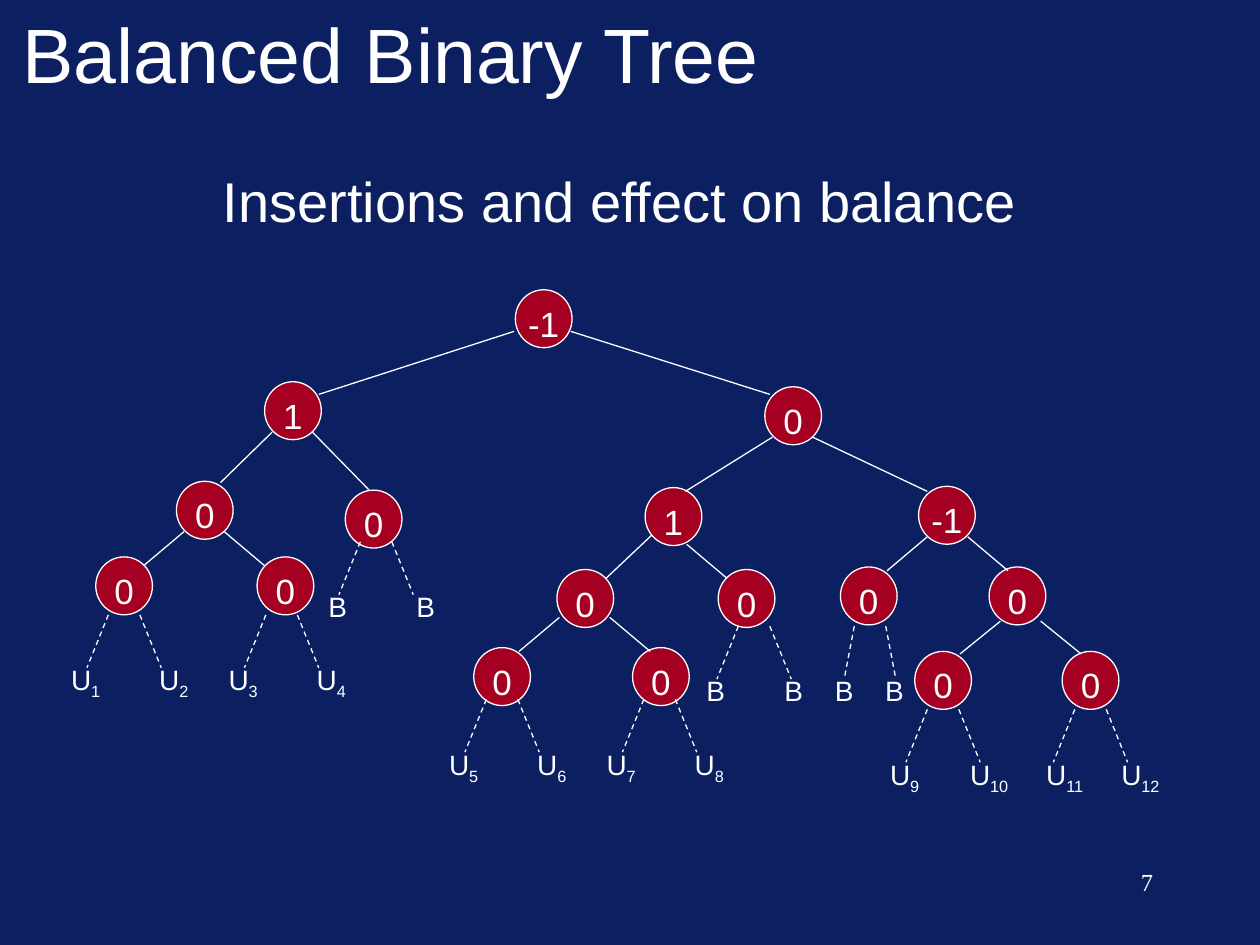
"""Build a slide showing how insertions affect a balanced binary tree."""
import pptx
import pptx.dml.color
import pptx.enum.dml
import pptx.enum.shapes
import pptx.enum.text
import pptx.oxml.ns
import pptx.util
from lxml import etree

Inches = pptx.util.Inches
Pt = pptx.util.Pt
ALIGN = pptx.enum.text.PP_ALIGN
ANCHOR = pptx.enum.text.MSO_ANCHOR
AUTO_SIZE = pptx.enum.text.MSO_AUTO_SIZE

NAVY = pptx.dml.color.RGBColor(0x0B, 0x1F, 0x61)
CRIMSON = pptx.dml.color.RGBColor(0xA5, 0x00, 0x21)
WHITE = pptx.dml.color.RGBColor(0xFF, 0xFF, 0xFF)

NODE_WIDTH, NODE_HEIGHT = 0.45, 0.46
BRANCH_GAP, BRANCH_DROP, LABEL_DROP = 0.25, 0.42, 0.33

NODES = [
    ("-1", 4.09, 2.3), ("0", 6.07, 3.07), ("1", 2.1, 3.03), ("0", 2.74, 3.89),
    ("0", 0.76, 4.42), ("0", 1.4, 3.82), ("0", 2.04, 4.42), ("-1", 7.29, 3.86),
    ("0", 6.67, 4.5), ("1", 5.12, 3.87), ("0", 7.85, 4.5), ("0", 4.42, 4.52),
    ("0", 5.7, 4.52), ("0", 7.26, 5.17), ("0", 8.43, 5.17), ("0", 3.76, 5.14),
    ("0", 5.02, 5.14),
]

EDGES = [
    ((4.53, 2.63), (6.11, 3.13)), ((4.08, 2.63), (2.53, 3.13)),
    ((2.16, 3.43), (1.75, 3.83)), ((2.48, 3.43), (2.93, 3.89)),
    ((1.46, 4.22), (1.14, 4.49)), ((1.78, 4.22), (2.1, 4.49)),
    ((6.13, 3.47), (5.44, 3.9)), ((6.45, 3.47), (7.36, 3.9)),
    ((7.36, 4.26), (7.04, 4.53)), ((7.68, 4.26), (8, 4.53)),
    ((5.17, 4.25), (4.81, 4.59)), ((5.45, 4.32), (5.77, 4.59)),
    ((7.94, 4.93), (7.62, 5.19)), ((8.26, 4.93), (8.58, 5.19)),
    ((4.44, 4.9), (4.12, 5.17)), ((4.84, 4.9), (5.16, 5.17)),
]

# Each entry: left branch start, top, sideways spread, (letter, subscript, centre) pairs.
INSERTIONS = [
    (0.86, 4.88, 0.17, [("U", "1", 0.68), ("U", "2", 1.38)]),
    (2.11, 4.88, 0.17, [("U", "3", 1.93), ("U", "4", 2.63)]),
    (3.86, 5.55, 0.17, [("U", "5", 3.68), ("U", "6", 4.38)]),
    (5.11, 5.55, 0.17, [("U", "7", 4.93), ("U", "8", 5.63)]),
    (7.36, 5.63, 0.17, [("U", "9", 7.18), ("U", "10", 7.85)]),
    (8.53, 5.63, 0.17, [("U", "11", 8.45), ("U", "12", 9.05)]),
    (6.78, 4.97, 0.08, [("B", "", 6.7), ("B", "", 7.1)]),
    (5.86, 4.97, 0.17, [("B", "", 5.68), ("B", "", 6.3)]),
    (2.86, 4.3, 0.17, [("B", "", 2.68), ("B", "", 3.38)]),
]


class TreeSlide:
    """Hold the shared style and the slide being drawn."""

    def __init__(self, slide, font_name="Arial"):
        """Keep the slide and paint its background."""
        self.slide = slide
        self.font_name = font_name
        slide.background.fill.solid()
        slide.background.fill.fore_color.rgb = NAVY

    def apply(self, target, formats):
        """Set each format value on the target."""
        for attribute, value in formats.items():
            setattr(target, attribute, value)

    def style_font(self, font, size, name=None):
        """Give text its face, size and colour."""
        self.apply(font, {"name": name or self.font_name, "size": Pt(size)})
        font.color.rgb = WHITE

    def place(self, shape, left, top, width, height):
        """Move and size a shape."""
        self.apply(shape, {"left": Inches(left), "top": Inches(top),
                           "width": Inches(width), "height": Inches(height)})

    def heading(self, holder, words, box, size, align, anchor):
        """Fill a placeholder and return its paragraph."""
        self.place(holder, *box)
        self.apply(holder.text_frame, {"text": words, "vertical_anchor": anchor,
                                       "auto_size": AUTO_SIZE.NONE, "word_wrap": True})
        line = holder.text_frame.paragraphs[0]
        self.apply(line, {"alignment": align, "space_before": Pt(0)})
        self.style_font(line.runs[0].font, size)
        return line

    def subtitle(self, holder, words, box, size):
        """Fill the body placeholder with one unbulleted line."""
        line = self.heading(holder, words, box, size, ALIGN.CENTER, ANCHOR.TOP)
        line.line_spacing = 0.9
        properties = line._p.get_or_add_pPr()
        self_indent = {"marL": Inches(0.38), "indent": Inches(-0.38)}
        for attribute, value in self_indent.items():
            properties.set(attribute, str(value))
        etree.SubElement(properties, pptx.oxml.ns.qn("a:buNone"))

    def label(self, words, box, size, subscript="", shapes=None,
              align=ALIGN.CENTER, name=None):
        """Add a text box, with an optional subscript."""
        caption = (shapes or self.slide.shapes).add_textbox(*map(Inches, box))
        self.apply(caption.text_frame, {"word_wrap": True,
                                        "auto_size": AUTO_SIZE.SHAPE_TO_FIT_TEXT})
        line = caption.text_frame.paragraphs[0]
        line.alignment = align
        for part in filter(None, (words, subscript)):
            run = line.add_run()
            run.text = part
            self.style_font(run.font, size, name)
        if subscript:
            run._r.get_or_add_rPr().set("baseline", "-25000")

    def node(self, balance, left, top):
        """Draw a tree node with its balance factor."""
        members = self.slide.shapes.add_group_shape().shapes
        circle = members.add_shape(
            pptx.enum.shapes.MSO_SHAPE.OVAL,
            *map(Inches, (left, top, NODE_WIDTH, NODE_HEIGHT)))
        circle.shadow.inherit = False
        circle.fill.solid()
        circle.fill.fore_color.rgb = CRIMSON
        circle.line.color.rgb = WHITE
        circle.line.width = Pt(0.75)
        self.label(balance, (left - 0.06, top + 0.05, 0.57, 0.44), 20, shapes=members)

    def edge(self, start, end, dashed=False):
        """Draw a branch between two points."""
        branch = self.slide.shapes.add_connector(
            pptx.enum.shapes.MSO_CONNECTOR.STRAIGHT, *map(Inches, (*start, *end)))
        branch.line.color.rgb = WHITE
        branch.line.width = Pt(0.75)
        if dashed:
            branch.line.dash_style = pptx.enum.dml.MSO_LINE.DASH
        etree.SubElement(branch._element.spPr, pptx.oxml.ns.qn("a:effectLst"))

    def insertion(self, left, top, spread, leaves):
        """Draw two possible insertion points below a node."""
        for side, (letter, subscript, centre) in enumerate(leaves):
            start = left + side * BRANCH_GAP
            end = start + (spread if side else -spread)
            self.edge((start, top), (end, top + BRANCH_DROP), dashed=True)
            width = 0.72 if len(subscript) > 1 else 0.47
            height = 0.41 if subscript else 0.37
            self.label(letter, (centre - width / 2, top + LABEL_DROP, width, height),
                       16, subscript)


def main():
    """Build and save the slide."""
    deck = pptx.Presentation()
    deck.slide_width, deck.slide_height = Inches(10), Inches(7.5)
    slide = deck.slides.add_slide(deck.slide_layouts[1])
    tree = TreeSlide(slide)
    tree.heading(slide.shapes.title, "Balanced Binary Tree", (0.08, -0.08, 9, 1),
                 44, ALIGN.LEFT, ANCHOR.MIDDLE)
    tree.subtitle(slide.placeholders[1], "Insertions and effect on balance",
                  (0.42, 1.33, 9, 0.58), 32)
    for node in NODES:
        tree.node(*node)
    for edge in EDGES:
        tree.edge(*edge)
    for insertion in INSERTIONS:
        tree.insertion(*insertion)
    tree.label("7", (7.17, 6.83, 2.08, 0.5), 14, align=ALIGN.RIGHT,
               name="Times New Roman")
    deck.save("out.pptx")


if __name__ == "__main__":
    main()
